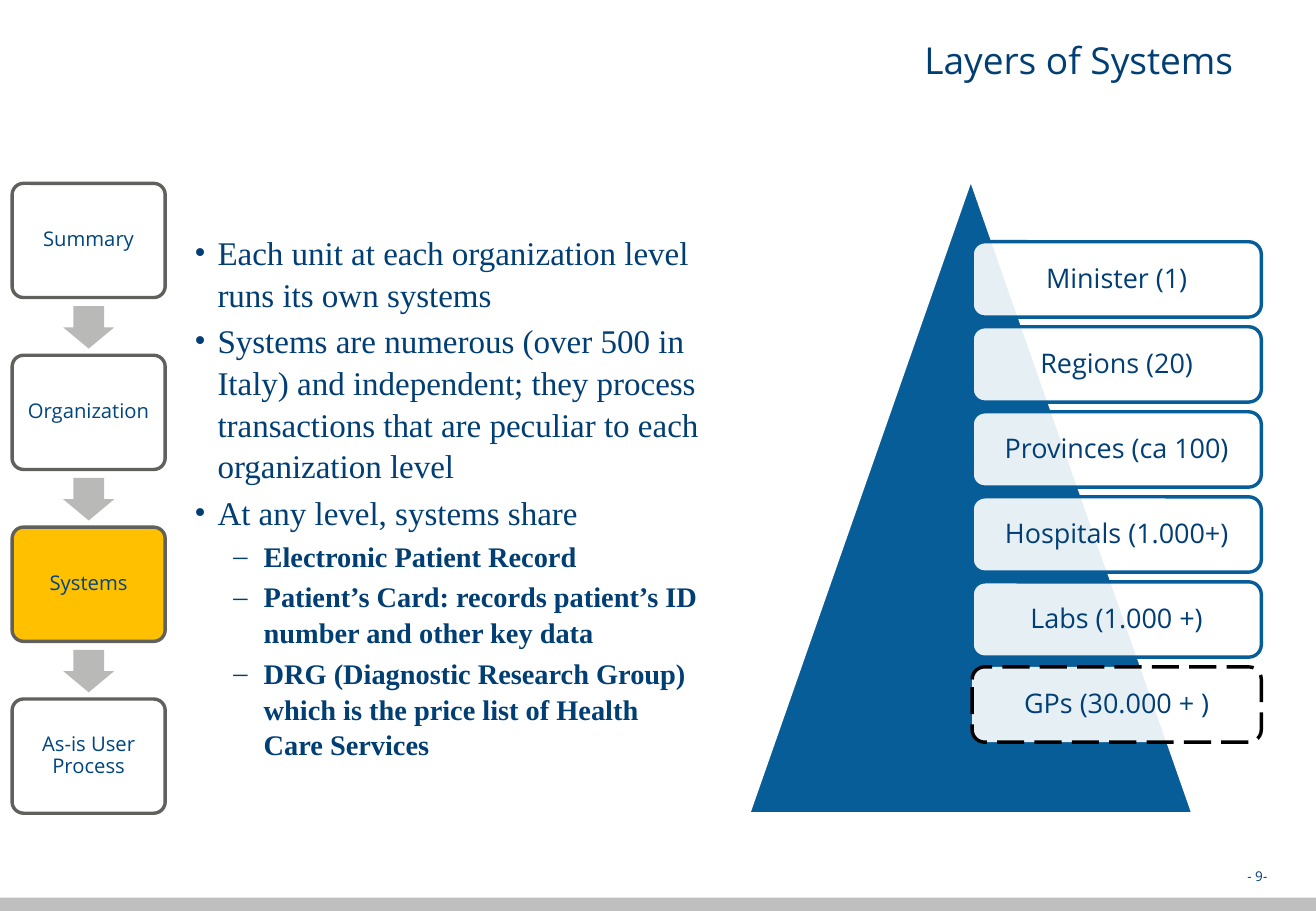
from dataclasses import dataclass

from lxml.etree import SubElement
from pptx import Presentation
from pptx.dml.color import RGBColor
from pptx.enum.dml import MSO_LINE
from pptx.enum.shapes import MSO_SHAPE
from pptx.enum.text import MSO_ANCHOR, PP_ALIGN
from pptx.oxml.ns import qn
from pptx.util import Inches, Pt

TITLE = "Layers of Systems"
PAGE_NUMBER = "- 9-"
STEPS = ["Summary", "Organization", "Systems", "As-is User Process"]
CURRENT_STEP = "Systems"
LAYERS = [
    "Minister (1)",
    "Regions (20)",
    "Provinces (ca 100)",
    "Hospitals (1.000+)",
    "Labs (1.000 +)",
    "GPs (30.000 + )",
]
DASHED_LAYER = "GPs (30.000 + )"
POINTS = [
    (0, "Each unit at each organization level runs its own systems"),
    (0, "Systems are numerous (over 500 in Italy) and independent; they process "
        "transactions that are peculiar to each organization level"),
    (0, "At any level, systems share"),
    (1, "Electronic Patient Record"),
    (1, "Patient’s Card: records patient’s ID number and other key data"),
    (1, "DRG (Diagnostic Research Group) which is the price list of Health Care Services"),
]
BULLETS = [("•", 0.19, 0.19), ("–", 0.57, 0.25)]


@dataclass(frozen=True)
class Theme:
    heading_font: str = "Open Sans"
    body_font: str = "Times New Roman"
    navy: str = "003E74"
    step_text: str = "00457E"
    blue: str = "065D98"
    white: str = "FFFFFF"
    black: str = "000000"
    amber: str = "FFC000"
    step_line: str = "60615D"
    arrow: str = "B9BAB8"
    footer: str = "BFBFBF"
    title_size: float = 22
    point_sizes: tuple = (19.6, 16.8)
    layer_size: float = 16
    step_size: float = 12
    page_size: float = 8


THEME = Theme()


def color(value):
    return RGBColor.from_string(value)


def add_block(slide, kind, box, fill, line=None):
    shape = slide.shapes.add_shape(kind, *map(Inches, box))
    shape.shadow.inherit = False
    shape.fill.solid()
    shape.fill.fore_color.rgb = color(fill)
    if line:
        shape.line.color.rgb = color(line)
        shape.line.width = Pt(2)
    else:
        shape.line.fill.background()
    return shape


def set_frame(frame, anchor, insets):
    frame.word_wrap = True
    frame.vertical_anchor = anchor
    frame.margin_left, frame.margin_top, frame.margin_right, frame.margin_bottom = map(Inches, insets)


def format_paragraph(paragraph, text, font, size, ink, align, spacing=1.0, bold=False):
    paragraph.text = text
    paragraph.alignment = align
    paragraph.line_spacing = spacing
    paragraph.font.name = font
    paragraph.font.size = Pt(size)
    paragraph.font.bold = bold
    paragraph.font.color.rgb = color(ink)


def add_label(shape, text, size, ink):
    set_frame(shape.text_frame, MSO_ANCHOR.MIDDLE, (0.08, 0.08, 0.08, 0.08))
    format_paragraph(shape.text_frame.paragraphs[0], text, THEME.heading_font,
                     size, ink, PP_ALIGN.CENTER, 0.9)


def add_footer(slide):
    add_block(slide, MSO_SHAPE.RECTANGLE, (0, 7.39, 10.83, 0.11), THEME.footer)
    number = slide.shapes.add_textbox(Inches(8.88), Inches(7.07), Inches(1.63), Inches(0.25))
    set_frame(number.text_frame, MSO_ANCHOR.BOTTOM, (0, 0, 0.08, 0.04))
    format_paragraph(number.text_frame.paragraphs[0], PAGE_NUMBER, THEME.heading_font,
                     THEME.page_size, THEME.navy, PP_ALIGN.RIGHT)


def add_title(slide):
    title = slide.shapes.title
    title.left, title.top, title.width, title.height = map(Inches, (1.6, 0.25, 8.65, 1.06))
    set_frame(title.text_frame, MSO_ANCHOR.TOP, (0.1, 0.04, 0.1, 0.04))
    format_paragraph(title.text_frame.paragraphs[0], TITLE, THEME.heading_font,
                     THEME.title_size, THEME.navy, PP_ALIGN.RIGHT, 1.05)


def add_pyramid(slide):
    add_block(slide, MSO_SHAPE.ISOSCELES_TRIANGLE, (6.16, 1.47, 3.66, 5.23),
              THEME.blue, THEME.white)
    for index, text in enumerate(LAYERS):
        dashed = text == DASHED_LAYER
        layer = add_block(slide, MSO_SHAPE.ROUNDED_RECTANGLE,
                          (8, 1.99 + index * 0.7, 2.38, 0.62), THEME.white,
                          THEME.black if dashed else THEME.blue)
        fill = layer.fill._xPr.find(qn("a:solidFill"))
        SubElement(fill[0], qn("a:alpha"), val="90000")
        if dashed:
            layer.line.dash_style = MSO_LINE.LONG_DASH
        add_label(layer, text, THEME.layer_size, THEME.navy)


def add_points(slide):
    box = slide.shapes.add_textbox(Inches(1.6), Inches(1.47), Inches(4.25), Inches(5.23))
    frame = box.text_frame
    set_frame(frame, MSO_ANCHOR.MIDDLE, (0, 0.05, 0.1, 0.05))
    for index, (level, text) in enumerate(POINTS):
        paragraph = frame.add_paragraph() if index else frame.paragraphs[0]
        paragraph.level = level
        symbol, margin, hanging = BULLETS[level]
        properties = paragraph._p.get_or_add_pPr()
        properties.set("marL", str(Inches(margin)))
        properties.set("indent", str(-Inches(hanging)))
        SubElement(properties, qn("a:buFont"), typeface=THEME.body_font)
        SubElement(properties, qn("a:buChar"), char=symbol)
        format_paragraph(paragraph, text, THEME.body_font, THEME.point_sizes[level],
                         THEME.navy, PP_ALIGN.LEFT, 1.05, level == 1)
        if index:
            paragraph.space_before = Pt(3)


def add_steps(slide):
    for index, text in enumerate(STEPS):
        top = 1.51 + index * 1.415
        fill = THEME.amber if text == CURRENT_STEP else THEME.white
        step = add_block(slide, MSO_SHAPE.ROUNDED_RECTANGLE, (0.1, top, 1.26, 0.94),
                         fill, THEME.step_line)
        step.adjustments[0] = 0.1
        add_label(step, text, THEME.step_size, THEME.step_text)
        if index < len(STEPS) - 1:
            arrow = add_block(slide, MSO_SHAPE.DOWN_ARROW, (0.52, top + 1.01, 0.42, 0.35),
                              THEME.arrow)
            arrow.adjustments[0] = 0.6
            arrow.adjustments[1] = 0.5


def main():
    presentation = Presentation()
    presentation.slide_width = Inches(10.83)
    presentation.slide_height = Inches(7.5)
    slide = presentation.slides.add_slide(presentation.slide_layouts[5])
    add_footer(slide)
    add_title(slide)
    add_pyramid(slide)
    add_points(slide)
    add_steps(slide)
    presentation.save("out.pptx")


if __name__ == "__main__":
    main()
